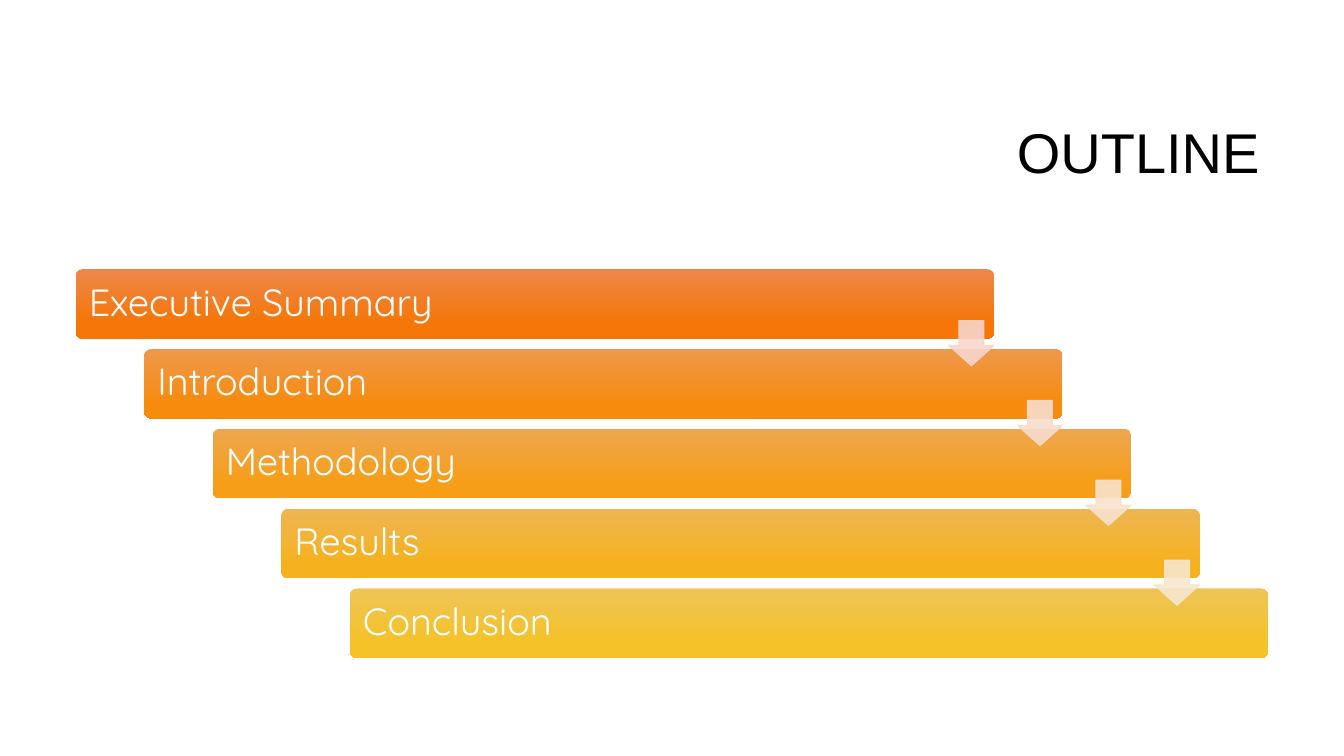
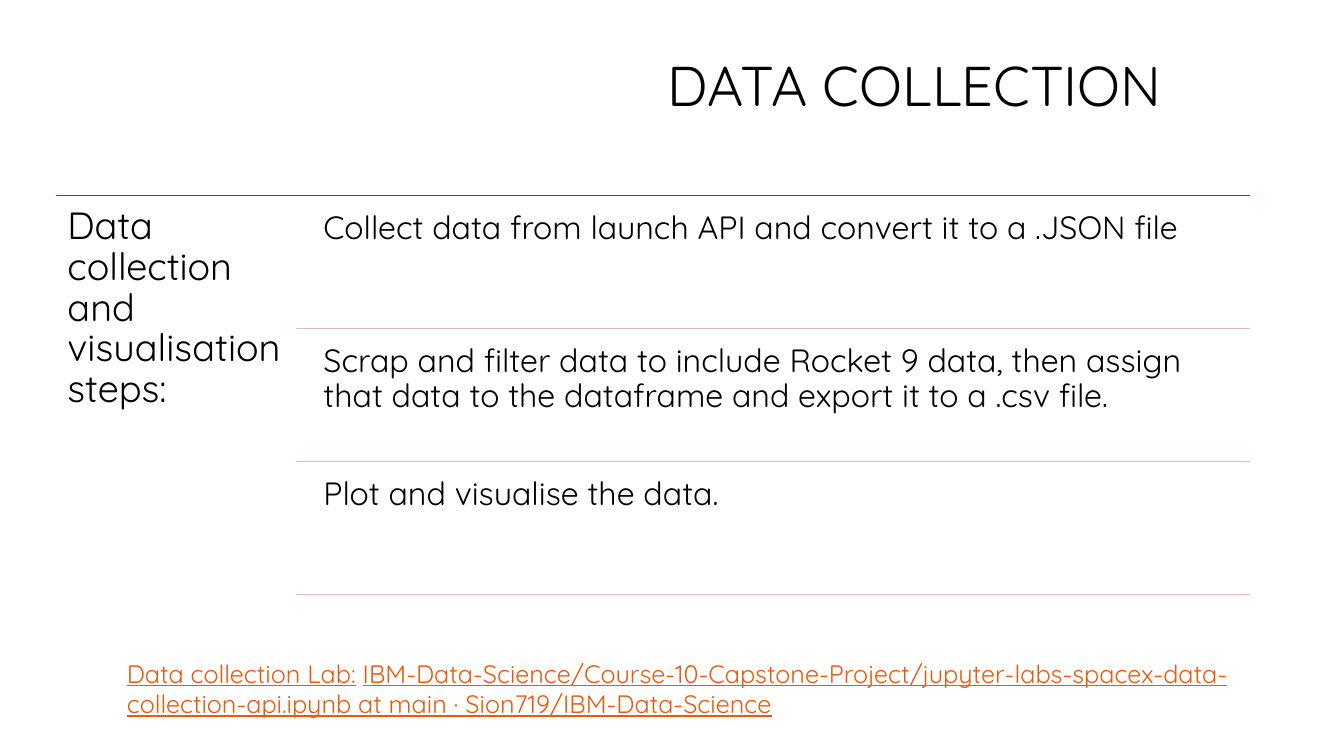
from lxml import etree
from pptx import Presentation
from pptx import util as u
from pptx.dml.color import RGBColor
from pptx.enum import shapes, text
from pptx.oxml import ns

BLACK = RGBColor(0x00, 0x00, 0x00)
WHITE = RGBColor(0xFF, 0xFF, 0xFF)
LINK = RGBColor(0xEA, 0x5A, 0x0C)
RED = RGBColor(0xC4, 0x22, 0x0D)
PINK = RGBColor(0xE4, 0xBD, 0xBD)
FONT = "Quicksand"

# Label, light and full colour of the bar
SECTIONS = [
    ("Executive Summary", RGBColor(0xED, 0x88, 0x4B), RGBColor(0xF6, 0x76, 0x07)),
    ("Introduction", RGBColor(0xEE, 0x98, 0x4D), RGBColor(0xF7, 0x8B, 0x0E)),
    ("Methodology", RGBColor(0xEE, 0xA7, 0x50), RGBColor(0xF6, 0x9E, 0x17)),
    ("Results", RGBColor(0xEE, 0xB6, 0x53), RGBColor(0xF6, 0xB1, 0x1F)),
    ("Conclusion", RGBColor(0xEE, 0xC4, 0x57), RGBColor(0xF5, 0xC2, 0x28)),
]
ARROW_COLORS = [
    RGBColor(0xF7, 0xD6, 0xCC),
    RGBColor(0xF7, 0xDC, 0xCD),
    RGBColor(0xF8, 0xE2, 0xCD),
    RGBColor(0xF8, 0xE7, 0xCE),
]
STEPS = [
    "Collect data from launch API and convert it to a .JSON file",
    "Scrap and filter data to include Rocket 9 data, then assign that data "
    "to the dataframe and export it to a .csv file.",
    "Plot and visualise the data.",
]
LAB_LINK = [
    ("Data collection Lab:", True),
    (" ", False),
    ("IBM-Data-Science/Course-10-Capstone-Project/jupyter-labs-spacex-data-"
     "collection-api.ipynb at main · Sion719/IBM-Data-Science", True),
]


def write(frame, content, *, size, color=BLACK, font=FONT, spacing=0.9, inset=0.1,
          align=text.PP_ALIGN.LEFT, anchor=text.MSO_ANCHOR.TOP):
    """Fill a frame with a string, or with (string, underlined) runs."""
    frame.word_wrap = True
    frame.vertical_anchor = anchor
    frame.margin_left = frame.margin_right = u.Inches(inset)
    frame.margin_top = frame.margin_bottom = u.Inches(min(inset, 0.05) if spacing == 1 else inset)
    paragraph = frame.paragraphs[0]
    paragraph.alignment = align
    paragraph.line_spacing = spacing
    for words, underlined in [(content, False)] if isinstance(content, str) else content:
        run = paragraph.add_run()
        run.text = words
        run.font.name = font
        run.font.size = u.Pt(size)
        run.font.color.rgb = color
        run.font.underline = underlined


def set_opacity(fill_parent, percent):
    """Make every solid colour below an element partly transparent."""
    for color in fill_parent.iter(ns.qn("a:srgbClr")):
        etree.SubElement(color, ns.qn("a:alpha")).set("val", str(percent * 1000))


class Deck:
    """Style and current slide; every length is a percentage of the slide."""

    def __init__(self):
        self.prs = Presentation()
        self.prs.slide_width, self.prs.slide_height = u.Inches(13.33), u.Inches(7.5)
        self.slide = None

    def place(self, *lengths):
        """Turn x, y, x, y... percentages into slide lengths."""
        sides = (self.prs.slide_width, self.prs.slide_height)
        return [u.Emu(round(sides[i % 2] * share / 100)) for i, share in enumerate(lengths)]

    def new_slide(self, title, box, font=FONT):
        self.slide = self.prs.slides.add_slide(self.prs.slide_layouts[6])
        self.label(title, box, size=40, font=font, align=text.PP_ALIGN.RIGHT,
                   anchor=text.MSO_ANCHOR.MIDDLE)

    def label(self, content, box, **style):
        write(self.slide.shapes.add_textbox(*self.place(*box)).text_frame, content, **style)

    def shape(self, kind, box, *adjustments):
        shape = self.slide.shapes.add_shape(kind, *self.place(*box))
        shape.shadow.inherit = False
        for i, value in enumerate(adjustments):
            shape.adjustments[i] = value
        return shape

    def bar(self, name, box, light, full):
        bar = self.shape(shapes.MSO_SHAPE.ROUNDED_RECTANGLE, box, 0.1)
        bar.line.fill.background()
        bar.fill.gradient()
        bar.fill.gradient_angle = 270
        for stop, color, position in zip(bar.fill.gradient_stops, (light, full), (0, 0.78)):
            stop.color.rgb = color
            stop.position = position
        write(bar.text_frame, name, size=27, color=WHITE, inset=0.11,
              anchor=text.MSO_ANCHOR.MIDDLE)

    def arrow(self, box, color):
        arrow = self.shape(shapes.MSO_SHAPE.DOWN_ARROW, box, 0.55, 0.45)
        arrow.fill.solid()
        arrow.fill.fore_color.rgb = color
        arrow.line.color.rgb = color
        arrow.line.width = u.Pt(0.75)
        set_opacity(arrow.element.spPr, 90)

    def rule(self, left, right, y, color):
        rule = self.slide.shapes.add_connector(
            shapes.MSO_CONNECTOR.STRAIGHT, *self.place(left, y, right, y))
        rule.line.color.rgb = color
        rule.line.width = u.Pt(1)
        etree.SubElement(rule.element.spPr, ns.qn("a:effectLst"))


def outline(deck):
    deck.new_slide("OUTLINE", (23.78, 11.2, 70.67, 18.8), font="Arial")
    width, height = 68.34, 9.2
    arrow_width, arrow_height, arrow_drop = 3.38, 6, 6.8
    corners = [(5.63 + 5.1 * i, 35.6 + 10.56 * i) for i in range(len(SECTIONS))]
    for (x, y), (name, light, full) in zip(corners, SECTIONS):
        deck.bar(name, (x, y, width, height), light, full)
    for (x, y), color in zip(corners, ARROW_COLORS):
        deck.arrow((x + width - arrow_width, y + arrow_drop, arrow_width, arrow_height), color)


def data_collection(deck):
    deck.new_slide("DATA COLLECTION", (15.9, 1.07, 71.27, 21.33))
    deck.label(LAB_LINK, (8.7, 86.4, 84.24, 9.47), size=18, color=LINK, spacing=1)
    left, steps_left, right, top, pitch = 4.2, 22, 93.02, 25.87, 17.6
    deck.rule(left, right, top, RED)
    deck.label("Data collection and visualisation steps:",
               (left, top, 17.78, 53.6), size=27, inset=0.11)
    for i, step in enumerate(STEPS):
        y = top + pitch * i
        deck.label(step, (23.33, y + 0.8, 69.69, 16.8), size=23)
        deck.rule(steps_left, right, y + pitch, PINK)


def main():
    deck = Deck()
    outline(deck)
    data_collection(deck)
    deck.prs.save("out.pptx")


if __name__ == "__main__":
    main()
